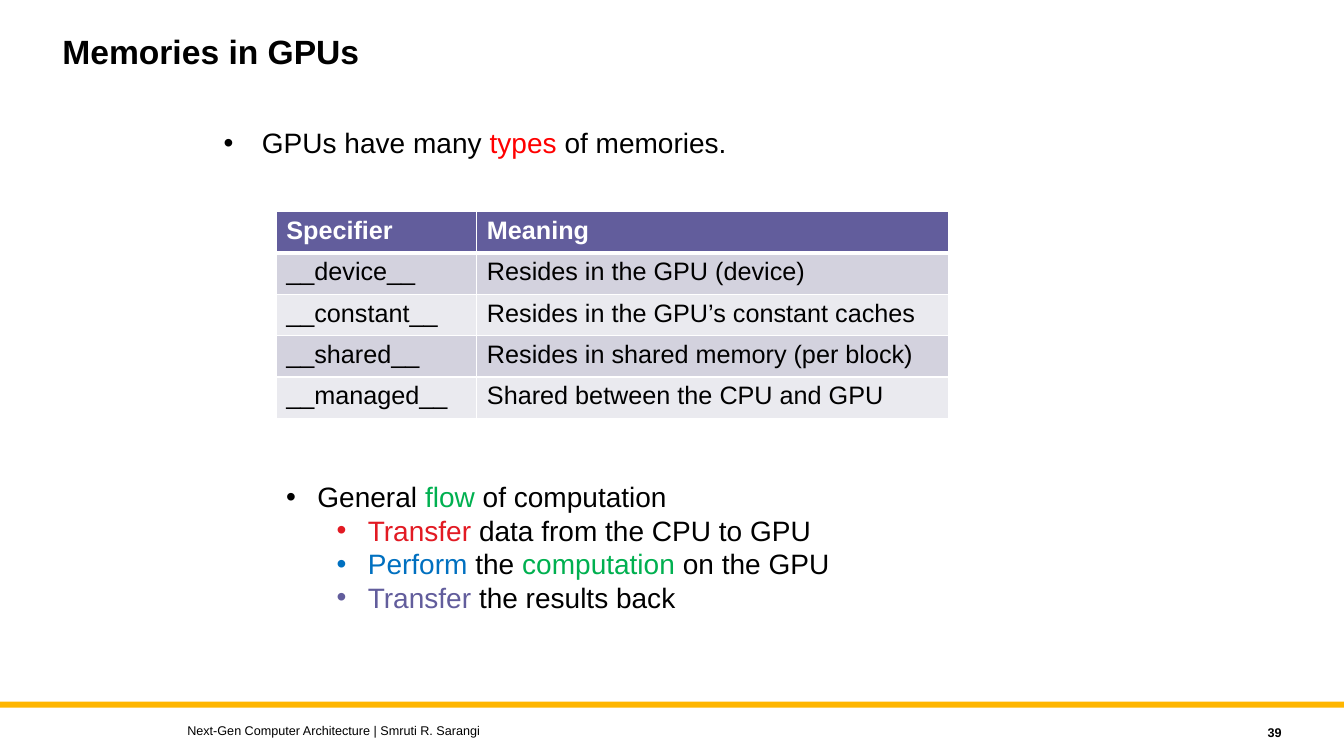
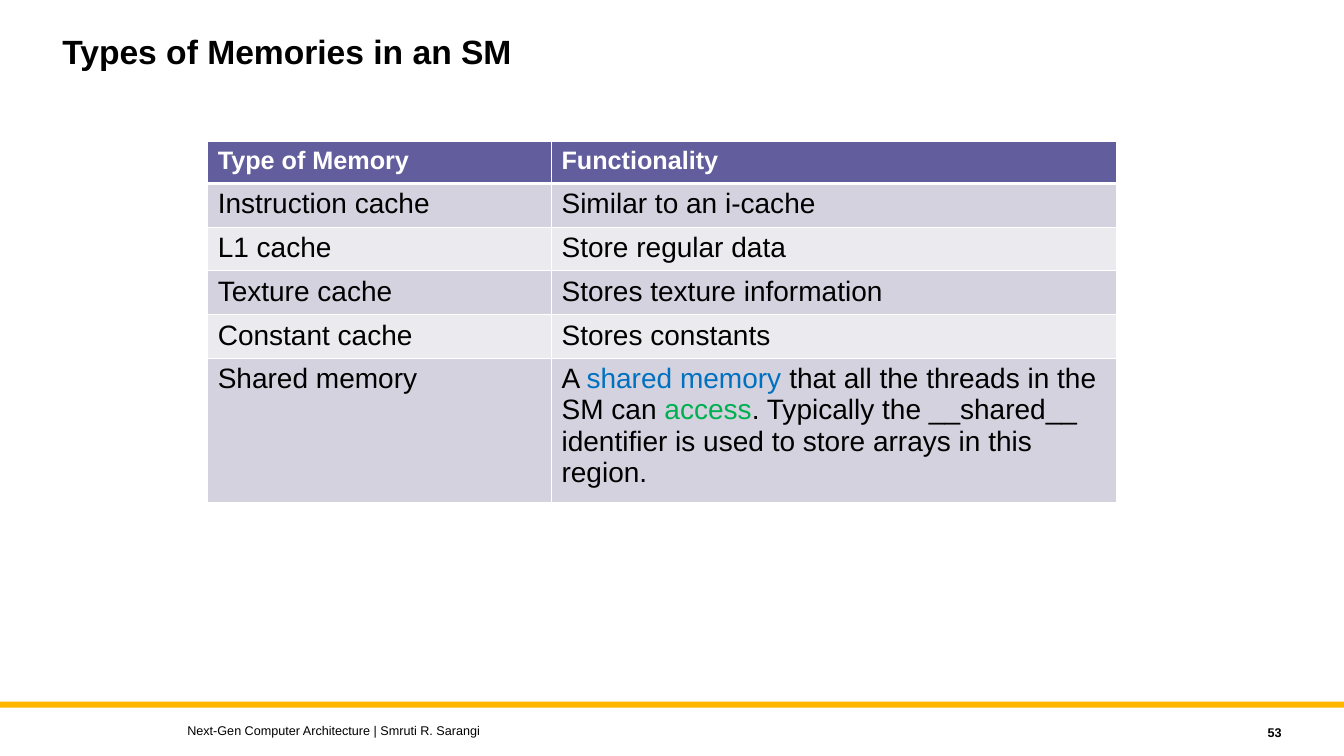
from dataclasses import dataclass

from lxml import etree
from pptx import Presentation
from pptx import util as u
from pptx.dml.color import RGBColor
from pptx.enum import shapes, text
from pptx.oxml.ns import qn

PX = 9144  # EMU per px, 100 px to the inch
FOOTER = "Next-Gen Computer Architecture | Smruti R. Sarangi"


@dataclass(frozen=True)
class Theme:
    font: str = "Arial"
    black: str = "000000"
    white: str = "FFFFFF"
    gold: str = "FFB600"
    violet: str = "625D9C"
    bands: tuple = ("D3D2DE", "EAEAEF")
    red: str = "FF0000"
    crimson: str = "E21A23"
    green: str = "00B050"
    blue: str = "0070C0"
    title: int = 24
    body: int = 20
    table: int = 18
    footer: int = 9


THEME = Theme()


def px(length):
    return u.Emu(length * PX)


def color(code):
    return RGBColor.from_string(code)


class Deck:
    """Holds the presentation, its theme and the slide being filled."""

    def __init__(self, theme):
        self.theme = theme
        self.deck = Presentation()
        self.deck.slide_width, self.deck.slide_height = px(1333), px(750)
        self.page = None

    def add_page(self, title, number):
        self.page = self.deck.slides.add_slide(self.deck.slide_layouts[6])
        self.band(0, 696, 1333, 6)
        heading = self.text_box(52, 30, 1000, 90)
        self.add_spans(heading.paragraphs[0], title, self.theme.title, bold=True)
        heading.paragraphs[0].line_spacing = 0.9
        middle = text.MSO_ANCHOR.MIDDLE
        footer = self.text_box(176, 712, 800, 25, middle)
        self.add_spans(footer.paragraphs[0], FOOTER, self.theme.footer)
        folio = self.text_box(1141, 714, 140, 25, middle)
        self.add_spans(folio.paragraphs[0], str(number), self.theme.footer, bold=True)
        folio.paragraphs[0].alignment = text.PP_ALIGN.RIGHT

    def band(self, left, top, width, height):
        shape = self.page.shapes.add_shape(
            shapes.MSO_SHAPE.RECTANGLE, px(left), px(top), px(width), px(height))
        shape.shadow.inherit = False
        shape.fill.solid()
        shape.fill.fore_color.rgb = color(self.theme.gold)
        shape.line.fill.background()

    def text_box(self, left, top, width, height, anchor=text.MSO_ANCHOR.TOP):
        box = self.page.shapes.add_textbox(px(left), px(top), px(width), px(height))
        frame = box.text_frame
        frame.word_wrap = True
        frame.vertical_anchor = anchor
        return frame

    def add_spans(self, para, content, size, ink=None, bold=False):
        """Add content: a string, or a list of strings and (string, colour) pairs."""
        ink = ink or self.theme.black
        for part in [content] if isinstance(content, str) else content:
            words, shade = (part, ink) if isinstance(part, str) else part
            span = para.add_run()
            span.text = words
            span.font.name = self.theme.font
            span.font.size = u.Pt(size)
            span.font.bold = bold
            span.font.color.rgb = color(shade)

    def bullets(self, left, top, width, height, items, hang, step=50, spacing=None):
        """Add (level, content) items, each level indented by one step."""
        frame = self.text_box(left, top, width, height)
        for index, (level, content) in enumerate(items):
            para = frame.add_paragraph() if index else frame.paragraphs[0]
            para.level = level
            if spacing:
                para.line_spacing = spacing
            properties = para._p.get_or_add_pPr()
            properties.set("marL", str(px(hang + level * step)))
            properties.set("indent", str(px(-hang)))
            etree.SubElement(properties, qn("a:buFont"), typeface=self.theme.font)
            etree.SubElement(properties, qn("a:buChar"), char="•")
            self.add_spans(para, content, self.theme.body)

    def table(self, left, top, widths, heights, rows, size):
        """Draw a table with a violet header row over banded rows."""
        frame = self.page.shapes.add_table(
            len(rows), len(widths), px(left), px(top), px(sum(widths)), px(sum(heights)))
        grid = frame.table
        for column, width in zip(grid.columns, widths):
            column.width = px(width)
        for index, (row, height, contents) in enumerate(zip(grid.rows, heights, rows)):
            row.height = px(height)
            header = index == 0
            for cell, content in zip(row.cells, contents):
                cell.fill.solid()
                cell.fill.fore_color.rgb = color(
                    self.theme.violet if header else self.theme.bands[(index - 1) % 2])
                self.borders(cell, top=3 if index == 1 else 1, bottom=3 if header else 1)
                self.add_spans(cell.text_frame.paragraphs[0], content,
                               self.theme.table if header else size,
                               self.theme.white if header else self.theme.black, header)

    def borders(self, cell, top, bottom):
        properties = cell._tc.get_or_add_tcPr()
        sides = (("a:lnL", 1), ("a:lnR", 1), ("a:lnT", top), ("a:lnB", bottom))
        for position, (side, points) in enumerate(sides):
            line = etree.Element(qn(side), w=str(u.Pt(points)))
            fill = etree.SubElement(line, qn("a:solidFill"))
            etree.SubElement(fill, qn("a:srgbClr"), val=self.theme.white)
            properties.insert(position, line)


def gpu_memories(deck):
    theme = deck.theme
    deck.add_page("Memories in GPUs", 39)
    deck.bullets(212, 120, 750, 52, [
        (0, ["GPUs have many ", ("types", theme.red), " of memories."]),
    ], hang=38)
    deck.table(274, 210, (199, 468), [41] * 5, [
        ("Specifier", "Meaning"),
        ("__device__", "Resides in the GPU (device)"),
        ("__constant__", "Resides in the GPU’s constant caches"),
        ("__shared__", "Resides in shared memory (per block)"),
        ("__managed__", "Shared between the CPU and GPU"),
    ], theme.table)
    deck.bullets(274, 471, 563, 145, [
        (0, ["General ", ("flow", theme.green), " of computation"]),
        (1, [("Transfer", theme.crimson), " data from the CPU to GPU"]),
        (1, [("Perform", theme.blue), " the ", ("computation", theme.green),
             " on the GPU"]),
        (1, [("Transfer", theme.violet), " the results back"]),
    ], hang=31, spacing=u.Pt(24))


def sm_memories(deck):
    theme = deck.theme
    deck.add_page("Types of Memories in an SM", 53)
    deck.table(206, 140, (341, 560), [42] * 5 + [134], [
        ("Type of Memory", "Functionality"),
        ("Instruction cache", "Similar to an i-cache"),
        ("L1 cache", "Store regular data"),
        ("Texture cache", "Stores texture information"),
        ("Constant cache", "Stores constants"),
        ("Shared memory", [
            "A ", ("shared memory ", theme.blue), "that all the threads in the SM can ",
            ("access", theme.green),
            ". Typically the __shared__ identifier is used to store arrays in this region.",
        ]),
    ], theme.body)


def main():
    deck = Deck(THEME)
    gpu_memories(deck)
    sm_memories(deck)
    deck.deck.save("out.pptx")


if __name__ == "__main__":
    main()
